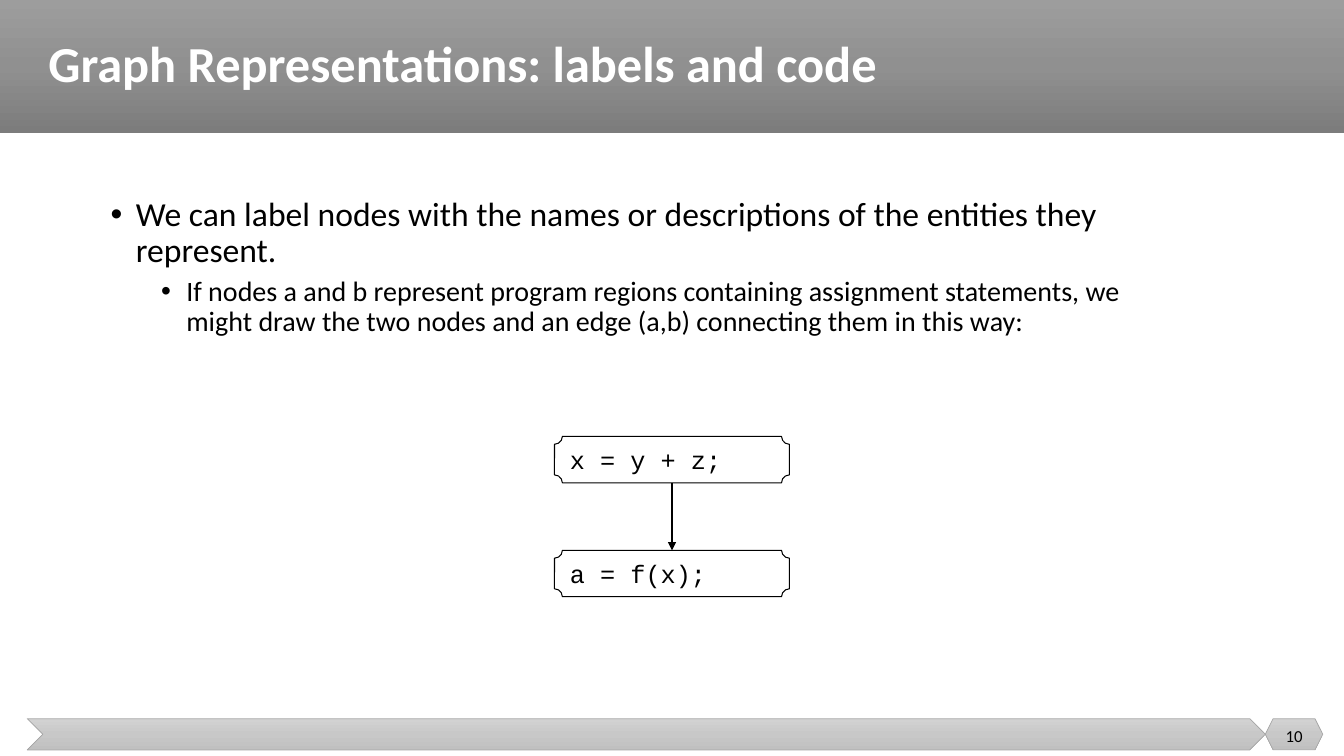
"""Build the slide on labelling graph nodes with code."""
from copy import deepcopy
from dataclasses import dataclass

from lxml.etree import SubElement
from pptx import Presentation
from pptx.dml.color import RGBColor
from pptx.enum.shapes import MSO_CONNECTOR, MSO_SHAPE
from pptx.enum.text import MSO_ANCHOR, MSO_AUTO_SIZE, PP_ALIGN
from pptx.oxml.ns import qn
from pptx.shapes.autoshape import Shape
from pptx.slide import Slide
from pptx.text.text import TextFrame
from pptx.util import Emu, Pt

EMU_PER_PX = 9144
TITLE_ONLY = 5
BLACK = RGBColor(0x00, 0x00, 0x00)
WHITE = RGBColor(0xFF, 0xFF, 0xFF)
EDGE_GRAY = RGBColor(0xA5, 0xA5, 0xA5)
DARK_GRADIENT = (RGBColor(0x9D, 0x9D, 0x9D), RGBColor(0x90, 0x90, 0x90), RGBColor(0x7C, 0x7C, 0x7C))
LIGHT_GRADIENT = (RGBColor(0xD2, 0xD2, 0xD2), RGBColor(0xC8, 0xC8, 0xC8), RGBColor(0xC0, 0xC0, 0xC0))

TITLE_FONT = {"name": "Calibri", "size": Pt(36), "bold": True}
CODE_FONT = {"name": "Courier New", "size": Pt(18)}
NUMBER_FONT = {"name": "Calibri", "size": Pt(12)}


@dataclass(frozen=True)
class Box:
    left: int
    top: int
    width: int
    height: int

    def emu(self) -> tuple[Emu, ...]:
        return tuple(px(value) for value in (self.left, self.top, self.width, self.height))


@dataclass(frozen=True)
class Band:
    kind: MSO_SHAPE
    box: Box
    gradient: tuple[RGBColor, ...]
    outlined: bool


@dataclass(frozen=True)
class Bullet:
    text: str
    level: int
    size: int
    indent: int
    space_before: int


@dataclass(frozen=True)
class Node:
    code: str
    box: Box


BANDS = (
    Band(MSO_SHAPE.RECTANGLE, Box(0, 0, 1333, 132), DARK_GRADIENT, False),
    Band(MSO_SHAPE.CHEVRON, Box(27, 713, 1228, 31), LIGHT_GRADIENT, True),
    Band(MSO_SHAPE.HEXAGON, Box(1255, 713, 57, 31), LIGHT_GRADIENT, True),
)
BULLETS = (
    Bullet("We can label nodes with the names or descriptions of the entities they represent.",
           0, 24, 25, 0),
    Bullet("If nodes a and b represent program regions containing assignment statements, "
           "we might draw the two nodes and an edge (a,b) connecting them in this way:",
           1, 20, 75, 5),
)
NODES = tuple(
    Node(code, Box(550, 433 + 113 * row, 233, 46))
    for row, code in enumerate(("x = y + z;", "a = f(x);"))
)


def px(value: int) -> Emu:
    return Emu(value * EMU_PER_PX)


def apply(target: object, values: dict) -> None:
    for name, value in values.items():
        setattr(target, name, value)


def write_line(frame: TextFrame, text: str, font: dict, color: RGBColor, alignment: PP_ALIGN) -> None:
    apply(frame, {"word_wrap": True, "auto_size": MSO_AUTO_SIZE.NONE,
                  "vertical_anchor": MSO_ANCHOR.MIDDLE})
    paragraph = frame.paragraphs[0]
    paragraph.text = text
    paragraph.alignment = alignment
    apply(paragraph.font, font)
    paragraph.font.color.rgb = color


def add_band(slide: Slide, band: Band) -> None:
    shape = slide.shapes.add_shape(band.kind, *band.box.emu())
    shape.shadow.inherit = False
    shape.fill.gradient()
    stop_list = shape.element.spPr.find(".//" + qn("a:gsLst"))
    stop_list.append(deepcopy(stop_list[-1]))
    for index, (stop, color) in enumerate(zip(shape.fill.gradient_stops, band.gradient)):
        stop.position = index / 2
        stop.color.rgb = color
    shape.fill.gradient_angle = 270
    if band.outlined:
        shape.line.color.rgb = EDGE_GRAY
        shape.line.width = Pt(0.5)
    else:
        shape.line.fill.background()


def place_title(slide: Slide, text: str, box: Box) -> None:
    title = slide.shapes.title
    title.element.getparent().append(title.element)
    apply(title, dict(zip(("left", "top", "width", "height"), box.emu())))
    write_line(title.text_frame, text, TITLE_FONT, WHITE, PP_ALIGN.LEFT)
    title.text_frame.paragraphs[0].line_spacing = 0.9


def add_bullets(slide: Slide, bullets: tuple[Bullet, ...], box: Box) -> None:
    frame = slide.shapes.add_textbox(*box.emu()).text_frame
    frame.word_wrap = True
    for index, bullet in enumerate(bullets):
        paragraph = frame.add_paragraph() if index else frame.paragraphs[0]
        paragraph.text = bullet.text
        apply(paragraph, {"level": bullet.level, "line_spacing": 0.9,
                          "space_before": Pt(bullet.space_before)})
        properties = paragraph._p.get_or_add_pPr()
        properties.set("marL", str(px(bullet.indent)))
        properties.set("indent", str(px(-25)))
        SubElement(properties, qn("a:buFont"), typeface="Arial")
        SubElement(properties, qn("a:buChar"), char="•")
        apply(paragraph.font, {"name": "Calibri", "size": Pt(bullet.size)})
        paragraph.font.color.rgb = BLACK


def add_node(slide: Slide, node: Node) -> Shape:
    shape = slide.shapes.add_shape(MSO_SHAPE.PLAQUE, *node.box.emu())
    shape.shadow.inherit = False
    shape.adjustments[0] = 0.17
    shape.fill.background()
    shape.line.color.rgb = BLACK
    shape.line.width = Pt(0.75)
    write_line(shape.text_frame, node.code, CODE_FONT, BLACK, PP_ALIGN.LEFT)
    return shape


def add_edge(slide: Slide, source: Shape, target: Shape) -> None:
    center = source.left + source.width // 2
    edge = slide.shapes.add_connector(
        MSO_CONNECTOR.STRAIGHT, center, source.top + source.height, center, target.top)
    edge.line.color.rgb = BLACK
    edge.line.width = Pt(0.75)
    SubElement(edge.line._get_or_add_ln(), qn("a:tailEnd"), type="triangle")
    SubElement(edge.element.spPr, qn("a:effectLst"))


def add_page_number(slide: Slide, number: str, box: Box) -> None:
    frame = slide.shapes.add_textbox(*box.emu()).text_frame
    write_line(frame, number, NUMBER_FONT, BLACK, PP_ALIGN.CENTER)


def main() -> None:
    presentation = Presentation()
    presentation.slide_width, presentation.slide_height = px(1333), px(750)
    slide = presentation.slides.add_slide(presentation.slide_layouts[TITLE_ONLY])
    for band in BANDS:
        add_band(slide, band)
    place_title(slide, "Graph Representations: labels and code", Box(38, 0, 1274, 132))
    add_bullets(slide, BULLETS, Box(100, 191, 1064, 208))
    source, target = [add_node(slide, node) for node in NODES]
    add_edge(slide, source, target)
    add_page_number(slide, "10", Box(1255, 710, 57, 40))
    presentation.save("out.pptx")


if __name__ == "__main__":
    main()
